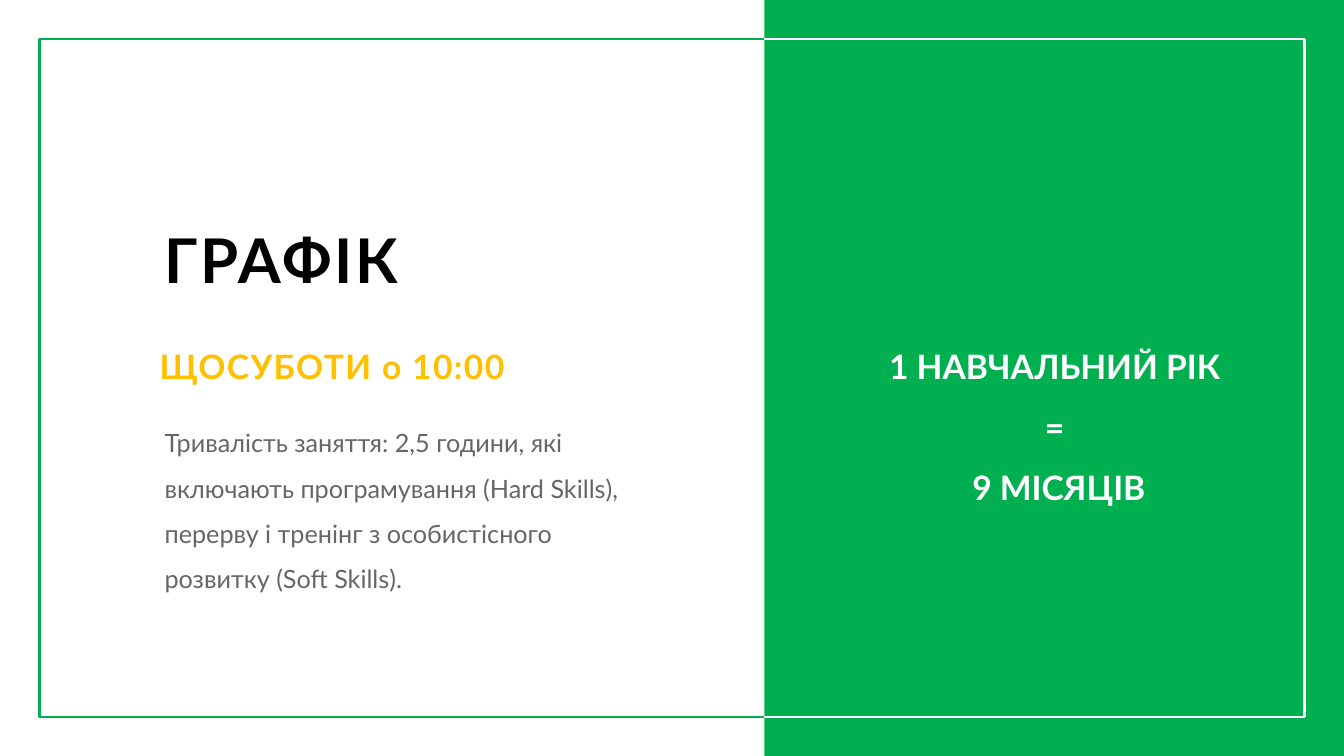
from dataclasses import dataclass
from typing import NamedTuple

from lxml.etree import SubElement
from pptx import Presentation
from pptx.dml.color import RGBColor
from pptx.enum.shapes import MSO_CONNECTOR as Connector, MSO_SHAPE as Shape
from pptx.enum.text import MSO_ANCHOR as Anchor, MSO_AUTO_SIZE as AutoSize, PP_ALIGN as Align
from pptx.oxml.ns import qn
from pptx.util import Inches, Pt

SLIDE_WIDTH, SLIDE_HEIGHT = Inches(13.33), Inches(7.5)
COLUMNS, ROWS = 160, 90
MARGIN_X, MARGIN_Y = 4.7, 4.6
SPLIT = 91


@dataclass(frozen=True)
class Theme:
    font: str = "Lato"
    green: str = "00B050"
    yellow: str = "FFC000"
    white: str = "FFFFFF"
    black: str = "000000"
    grey: str = "666666"
    title: int = 44
    heading: int = 24
    body: int = 18
    rule: float = 1.5


THEME = Theme()


class Box(NamedTuple):
    """A rectangle in grid columns and rows."""
    left: float
    top: float
    width: float
    height: float

    def inner(self, left, top, width, height):
        return Box(self.left + left, self.top + top, width, height)

    def lengths(self):
        return (column(self.left), row(self.top), column(self.width), row(self.height))


def column(count):
    return round(SLIDE_WIDTH * count / COLUMNS)


def row(count):
    return round(SLIDE_HEIGHT * count / ROWS)


def add_rectangle(slide, box, fill=None, line=None):
    shape = slide.shapes.add_shape(Shape.RECTANGLE, *box.lengths())
    shape.shadow.inherit = False
    if fill:
        shape.fill.solid()
        shape.fill.fore_color.rgb = RGBColor.from_string(fill)
    else:
        shape.fill.background()
    if line:
        shape.line.color.rgb = RGBColor.from_string(line)
        shape.line.width = Pt(THEME.rule)
    else:
        shape.line.fill.background()


def add_rule(slide, start, end):
    line = slide.shapes.add_connector(
        Connector.STRAIGHT, column(start[0]), row(start[1]), column(end[0]), row(end[1]))
    line.line.color.rgb = RGBColor.from_string(THEME.white)
    line.line.width = Pt(THEME.rule)
    SubElement(line.element.spPr, qn("a:effectLst"))


def add_text(slide, box, text, *, size, color, bold=False, align=Align.LEFT, anchor=Anchor.TOP,
             line_spacing=1.5, space_after=0, tracking=0, flush=False, grow=True):
    """Write one paragraph per line; flush drops the left, top and bottom insets."""
    frame = slide.shapes.add_textbox(*box.lengths()).text_frame
    frame.word_wrap = True
    frame.auto_size = AutoSize.SHAPE_TO_FIT_TEXT if grow else AutoSize.NONE
    frame.vertical_anchor = anchor
    if flush:
        frame.margin_left = frame.margin_top = frame.margin_bottom = 0
    frame.text = text
    for paragraph in frame.paragraphs:
        paragraph.alignment = align
        paragraph.line_spacing = line_spacing
        paragraph.space_after = Pt(space_after)
        for run in paragraph.runs:
            run.font.name = THEME.font
            run.font.size = Pt(size)
            run.font.bold = bold
            run.font.color.rgb = RGBColor.from_string(color)
            if tracking:
                run.font._element.set("spc", str(tracking * 100))


def add_schedule(slide, box):
    add_text(slide, box.inner(18.4, 26.9, 50.6, 8.8), "ГРАФІК", size=THEME.title,
             color=THEME.black, bold=True, anchor=Anchor.BOTTOM, line_spacing=0.8,
             space_after=6, tracking=2, grow=False)
    add_text(slide, box.inner(19, 38.8, 64.8, 6.2), "ЩОСУБОТИ о 10:00", size=THEME.heading,
             color=THEME.yellow, bold=True, tracking=1, flush=True)
    add_text(slide, box.inner(19.6, 49.1, 57.5, 21.1),
             "Тривалість заняття: 2,5 години, які включають програмування (Hard Skills), "
             "перерву і тренінг з особистісного розвитку (Soft Skills).",
             size=THEME.body, color=THEME.grey, flush=True)


def add_duration_panel(slide, box):
    add_rectangle(slide, box, fill=THEME.green)
    add_text(slide, box.inner(8.1, 38.2, 53.9, 22.1), "1 НАВЧАЛЬНИЙ РІК \n= \n9 МІСЯЦІВ",
             size=THEME.heading, color=THEME.white, bold=True, align=Align.CENTER)
    top, bottom = box.top + MARGIN_Y, box.top + box.height - MARGIN_Y
    right = box.left + box.width - MARGIN_X
    for height in (top, bottom):
        add_rule(slide, (box.left, height), (right, height))
    add_rule(slide, (right, bottom), (right, top))


def main():
    presentation = Presentation()
    presentation.slide_width, presentation.slide_height = SLIDE_WIDTH, SLIDE_HEIGHT
    slide = presentation.slides.add_slide(presentation.slide_layouts[6])
    page = Box(0, 0, COLUMNS, ROWS)
    add_rectangle(slide, page.inner(MARGIN_X, MARGIN_Y, COLUMNS - 2 * MARGIN_X,
                                    ROWS - 2 * MARGIN_Y), line=THEME.green)
    add_schedule(slide, page.inner(0, 0, SPLIT, ROWS))
    add_duration_panel(slide, page.inner(SPLIT, 0, COLUMNS - SPLIT, ROWS))
    presentation.save("out.pptx")


if __name__ == "__main__":
    main()
